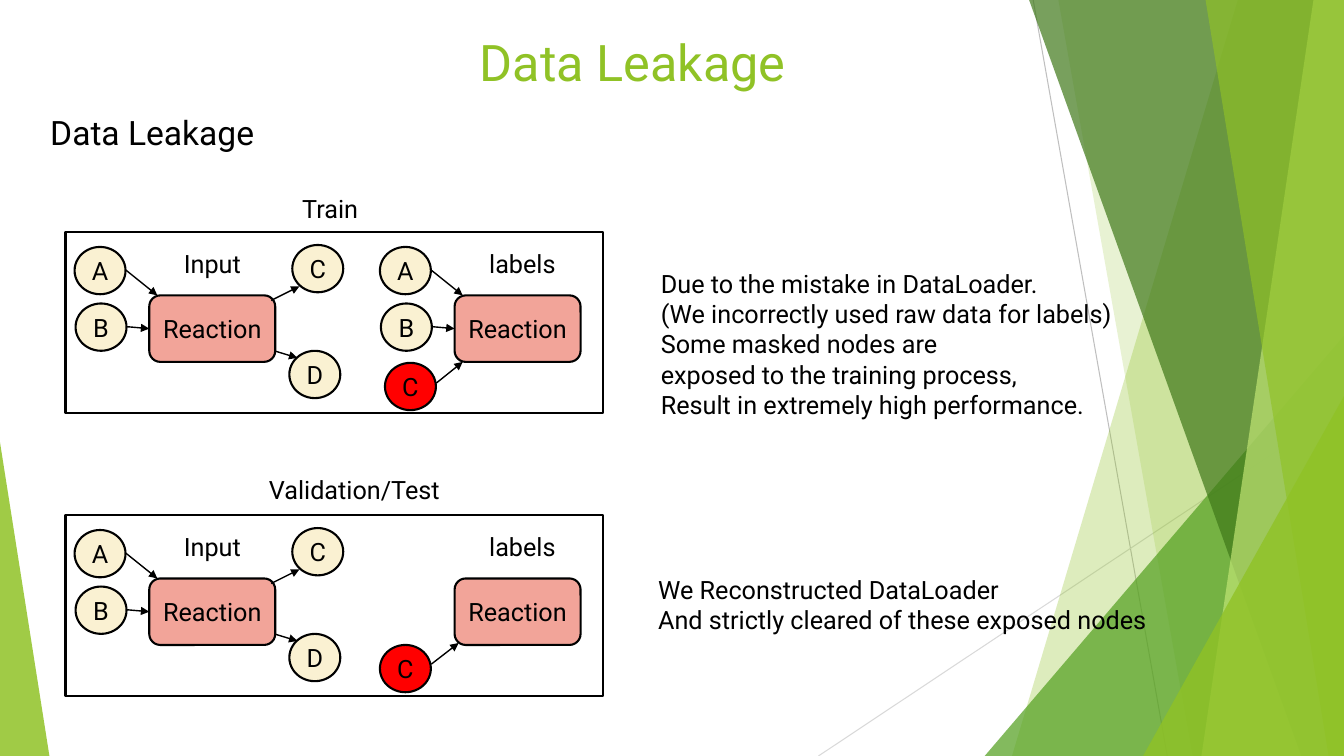
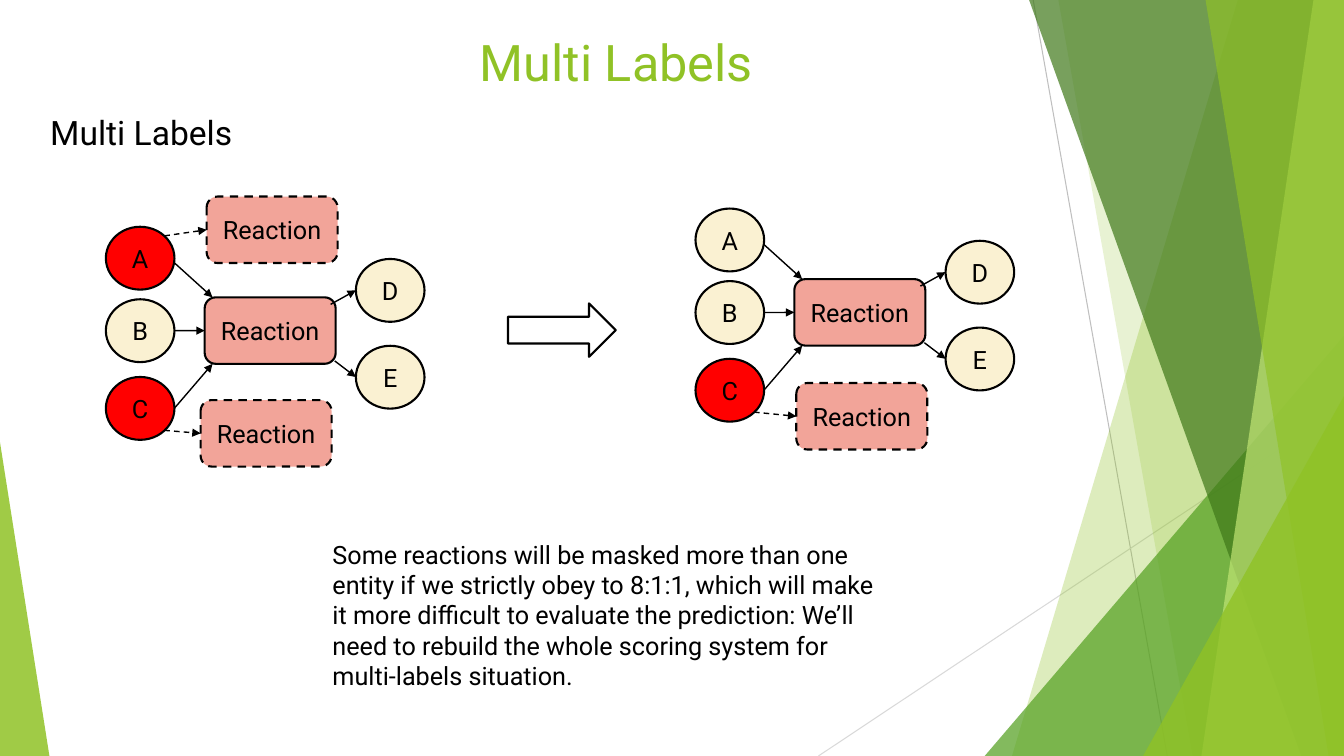
from dataclasses import dataclass

from lxml import etree
from pptx import Presentation, slide as slides
from pptx.dml.color import RGBColor
from pptx.enum import dml, shapes, text
from pptx.oxml import ns
from pptx.shapes import autoshape, base, connector as connectors
from pptx.util import Pt

WIDTH, HEIGHT = 960, 540
FONT = "Roboto"
COLORS = {
    "green": "90C226", "leaf": "54A021", "forest": "3F7819", "lime": "C0E474",
    "gray": "BFBFBF", "silver": "D9D9D9", "black": "000000", "white": "FFFFFF",
    "entity": "FAF1D2", "masked": "FF0000", "reaction": "F2A499",
}
SHAPE = shapes.MSO_SHAPE
LEFT_SIDE = 1
Point = tuple[float, float]


@dataclass(frozen=True)
class Band:
    """Area from a slanted edge to the right side of the slide."""
    top_x: float
    bottom_x: float
    color: str
    opacity: int


@dataclass(frozen=True)
class Wedge:
    """Right-angled triangle standing on the bottom of the slide."""
    left: float
    top: float
    width: float
    peak: float
    color: str
    opacity: int


@dataclass(frozen=True)
class Entity:
    label: str
    at: Point
    color: str = "entity"


@dataclass(frozen=True)
class Arrow:
    start: Point
    end: Point


@dataclass(frozen=True)
class MaskedReaction:
    at: Point
    start: Point


@dataclass(frozen=True)
class Graph:
    """A reaction with its neighbours, placed relative to the reaction box."""
    origin: Point
    entities: tuple[Entity, ...]
    arrows: tuple[Arrow, ...]
    side_start: Point | None = None
    masked: tuple[MaskedReaction, ...] = ()
    caption: str = ""


@dataclass(frozen=True)
class Sizes:
    reaction: Point
    entity: Point


# Shared background
BACKDROP = (
    Band(884.2, 722.9, "green", 30),
    Band(756, 851.8, "green", 20),
    Wedge(703.4, 239.8, 256.6, 1, "leaf", 72),
    Band(735.1, 929.5, "forest", 70),
    Band(938.2, 858.2, "lime", 70),
    Band(861.1, 949, "green", 65),
    Wedge(816.5, 283, 143.5, 1, "green", 80),
    Wedge(0, 316, 35.3, 0, "green", 85),
)
BACKDROP_LINES = (
    ((738, 0), (833.8, HEIGHT), "gray"),
    ((WIDTH, 290.2), (584.6, HEIGHT), "silver"),
)

# Data Leakage graphs
LEAK_SIZES = Sizes((90, 47.5), (36.4, 33.8))
LEAK_SOURCES = (Entity("A", (-53.3, -34.6)), Entity("B", (-52.6, 5.8)))
LEAK_SOURCE_ARROW = Arrow((-16.6, -18), (5.8, 0))
LEAK_SIDE = (-16.6, 22.3)
LEAK_PRODUCTS = (Entity("C", (102.2, -36)), Entity("D", (100.1, 39.6)))
LEAK_PRODUCT_ARROWS = (
    Arrow((87.1, 3.6), (107.3, -6.5)),
    Arrow((89.3, 39.6), (105.8, 44.6)),
)
INPUT_X, LABELS_X = 106.6, 324.7
TRAIN_Y, TEST_Y = 211, 413.2

# Multi Labels graphs
MULTI_SIZES = Sizes((93.6, 47.5), (49, 44.9))
MULTI_ARROWS = (
    Arrow((-22, -25), (5.6, 0)),
    Arrow((-21.6, 79.2), (5.6, 47.5)),
    Arrow((90, 5), (108, -5)),
    Arrow((92.9, 45.4), (108, 56.9)),
)
MASK_START = (-28.8, 95)


def rgb(name: str) -> RGBColor:
    return RGBColor.from_string(COLORS[name])


def shift(origin: Point, offset: Point) -> Point:
    return origin[0] + offset[0], origin[1] + offset[1]


def format_text(frame: text, size: float, color: str = "black",
                align: text.PP_ALIGN = text.PP_ALIGN.LEFT) -> None:
    frame.word_wrap = True
    for para in frame.paragraphs:
        para.alignment = align
        para.font.name = FONT
        para.font.size = Pt(size)
        para.font.color.rgb = rgb(color)


def add_text(page: slides.Slide, words: str, at: Point, size: Point, points: float = 18) -> None:
    box = page.shapes.add_textbox(*map(Pt, at + size))
    box.text_frame.text = words
    format_text(box.text_frame, points)


def add_box(page: slides.Slide, kind: shapes.MSO_SHAPE, at: Point, size: Point, fill: str,
            label: str = "", dashed: bool = False) -> autoshape.Shape:
    box = page.shapes.add_shape(kind, *map(Pt, at + size))
    box.shadow.inherit = False
    box.fill.solid()
    box.fill.fore_color.rgb = rgb(fill)
    box.line.color.rgb = rgb("black")
    box.line.width = Pt(1.5)
    if dashed:
        box.line.dash_style = dml.MSO_LINE.DASH
    if label:
        frame = box.text_frame
        frame.text = label
        frame.margin_left = frame.margin_right = 0
        frame.vertical_anchor = text.MSO_ANCHOR.MIDDLE
        format_text(frame, 18, align=text.PP_ALIGN.CENTER)
    return box


def add_line(page: slides.Slide, start: Point, end: Point, color: str = "black",
             width: float = 1, dashed: bool = False, arrow: bool = True) -> connectors.Connector:
    line = page.shapes.add_connector(shapes.MSO_CONNECTOR.STRAIGHT, *map(Pt, start + end))
    line.line.color.rgb = rgb(color)
    line.line.width = Pt(width)
    if dashed:
        line.line.dash_style = dml.MSO_LINE.DASH
    properties = line.element.find(ns.qn("p:spPr"))
    if arrow:
        etree.SubElement(properties.find(ns.qn("a:ln")), ns.qn("a:tailEnd"), type="triangle")
    etree.SubElement(properties, ns.qn("a:effectLst"))
    return line


def add_backdrop_shape(page: slides.Slide, part: Band | Wedge) -> base.BaseShape:
    if isinstance(part, Band):
        builder = page.shapes.build_freeform(Pt(part.top_x), 0)
        corners = ((WIDTH, 0), (WIDTH, HEIGHT), (part.bottom_x, HEIGHT))
        builder.add_line_segments([(Pt(x), Pt(y)) for x, y in corners], close=True)
        shape = builder.convert_to_shape()
    else:
        shape = page.shapes.add_shape(SHAPE.ISOSCELES_TRIANGLE, Pt(part.left), Pt(part.top),
                                      Pt(part.width), Pt(HEIGHT - part.top))
        shape.adjustments[0] = part.peak
    shape.shadow.inherit = False
    shape.line.fill.background()
    shape.fill.solid()
    shape.fill.fore_color.rgb = rgb(part.color)
    color = shape.element.spPr.find(".//" + ns.qn("a:srgbClr"))
    etree.SubElement(color, ns.qn("a:alpha"), val=str(part.opacity * 1000))
    return shape


def move_backdrop_to_layout(page: slides.Slide, layout: slides.SlideLayout) -> None:
    parts = [add_line(page, start, end, color, 0.75, arrow=False)
             for start, end, color in BACKDROP_LINES]
    parts += [add_backdrop_shape(page, part) for part in BACKDROP]
    for number, part in enumerate(parts, start=100):
        part.element.xpath(".//p:cNvPr")[0].set("id", str(number))
        layout.shapes.element.append(part.element)


def add_page(deck: Presentation, layout: slides.SlideLayout, title: str) -> slides.Slide:
    page = deck.slides.add_slide(layout)
    frame = page.shapes.title.text_frame
    frame.text = title
    frame.auto_size = text.MSO_AUTO_SIZE.NONE
    frame.vertical_anchor = text.MSO_ANCHOR.TOP
    format_text(frame, 36, "green")
    add_text(page, title, (28.8, 76.3), (161, 36), 24)
    return page


def add_graph(page: slides.Slide, graph: Graph, sizes: Sizes) -> None:
    origin = graph.origin
    reaction = add_box(page, SHAPE.ROUNDED_RECTANGLE, origin, sizes.reaction,
                       "reaction", "Reaction")
    for entity in graph.entities:
        add_box(page, SHAPE.OVAL, shift(origin, entity.at), sizes.entity,
                entity.color, entity.label)
    for arrow in graph.arrows:
        add_line(page, shift(origin, arrow.start), shift(origin, arrow.end))
    if graph.side_start:
        line = add_line(page, shift(origin, graph.side_start), origin)
        line.end_connect(reaction, LEFT_SIDE)
    for masked in graph.masked:
        at = shift(origin, masked.at)
        box = add_box(page, SHAPE.ROUNDED_RECTANGLE, at, sizes.reaction,
                      "reaction", "Reaction", dashed=True)
        line = add_line(page, shift(origin, masked.start), at, dashed=True)
        line.end_connect(box, LEFT_SIDE)
    if graph.caption:
        add_text(page, graph.caption, shift(origin, (17.6, -37.4)), (72.7, 28.8))


def fill_data_leakage(page: slides.Slide) -> None:
    # Panels, each with its input graph
    for caption, left, width, y in (("Train", 208.8, 95, TRAIN_Y),
                                    ("Validation/Test", 185, 157, TEST_Y)):
        add_box(page, SHAPE.RECTANGLE, (46.8, y - 45.4), (383.8, 129.6), "white")
        add_text(page, caption, (left, y - 76.6 if y == TRAIN_Y else y - 77.7), (width, 28.8))
        add_graph(page, Graph((INPUT_X, y), LEAK_SOURCES + LEAK_PRODUCTS,
                              (LEAK_SOURCE_ARROW,) + LEAK_PRODUCT_ARROWS,
                              LEAK_SIDE, caption="Input"), LEAK_SIZES)
    # Label graphs
    add_graph(page, Graph((LABELS_X, TRAIN_Y),
                          LEAK_SOURCES + (Entity("C", (-49.7, 48.2), "masked"),),
                          (LEAK_SOURCE_ARROW, Arrow((-13, 62.6), (5.8, 47.5))),
                          LEAK_SIDE, caption="labels"), LEAK_SIZES)
    add_graph(page, Graph((LABELS_X, TEST_Y), (Entity("C", (-53.3, 47.5), "masked"),),
                          (Arrow((-16.6, 61.2), (2.9, 46.1)),), caption="labels"), LEAK_SIZES)
    # Explanations
    add_text(page, "Due to the mistake in DataLoader.\n"
                   "(We incorrectly used raw data for labels)\n"
                   "Some masked nodes are\n"
                   "exposed to the training process,\n"
                   "Result in extremely high performance.", (465, 188), (348.5, 116.6))
    add_text(page, "We Reconstructed DataLoader\n"
                   "And strictly cleared of these exposed nodes", (463, 406.8), (480, 51))


def fill_multi_labels(page: slides.Slide) -> None:
    lower, upper = MaskedReaction((-2.9, 73.4), MASK_START), MaskedReaction((1.4, -72), (-28.8, -43.9))
    right_lower = MaskedReaction((1.4, 74.2), MASK_START)
    # Graphs before and after
    for origin, a_color, masked in (((146.2, 212.4), "masked", (lower, upper)),
                                    ((567.4, 199.4), "entity", (right_lower,))):
        entities = (Entity("A", (-70.6, -50.4), a_color), Entity("B", (-70.6, 1.4)),
                    Entity("C", (-70.6, 56.9), "masked"),
                    Entity("D", (108, -27.4)), Entity("E", (108, 34.6)))
        add_graph(page, Graph(origin, entities, MULTI_ARROWS, (-21.6, 23.8), masked), MULTI_SIZES)
    add_box(page, SHAPE.RIGHT_ARROW, (362.9, 216.7), (77, 38.2), "white")
    # Explanation
    add_text(page, "Some reactions will be masked more than one entity if we strictly obey to 8:1:1, "
                   "which will make it more difficult to evaluate the prediction: We’ll need to "
                   "rebuild the whole scoring system for multi-labels situation.",
             (230.4, 381.6), (401.8, 116.6))


def main() -> None:
    deck = Presentation()
    deck.slide_width, deck.slide_height = Pt(WIDTH), Pt(HEIGHT)
    layout = deck.slide_layouts.get_by_name("Title Only")
    title = layout.placeholders[0]
    title.left, title.top, title.width, title.height = map(Pt, (335.5, 18.7, 493.2, 90.7))
    leakage = add_page(deck, layout, "Data Leakage")
    move_backdrop_to_layout(leakage, layout)
    fill_data_leakage(leakage)
    fill_multi_labels(add_page(deck, layout, "Multi Labels"))
    deck.save("out.pptx")


if __name__ == "__main__":
    main()
